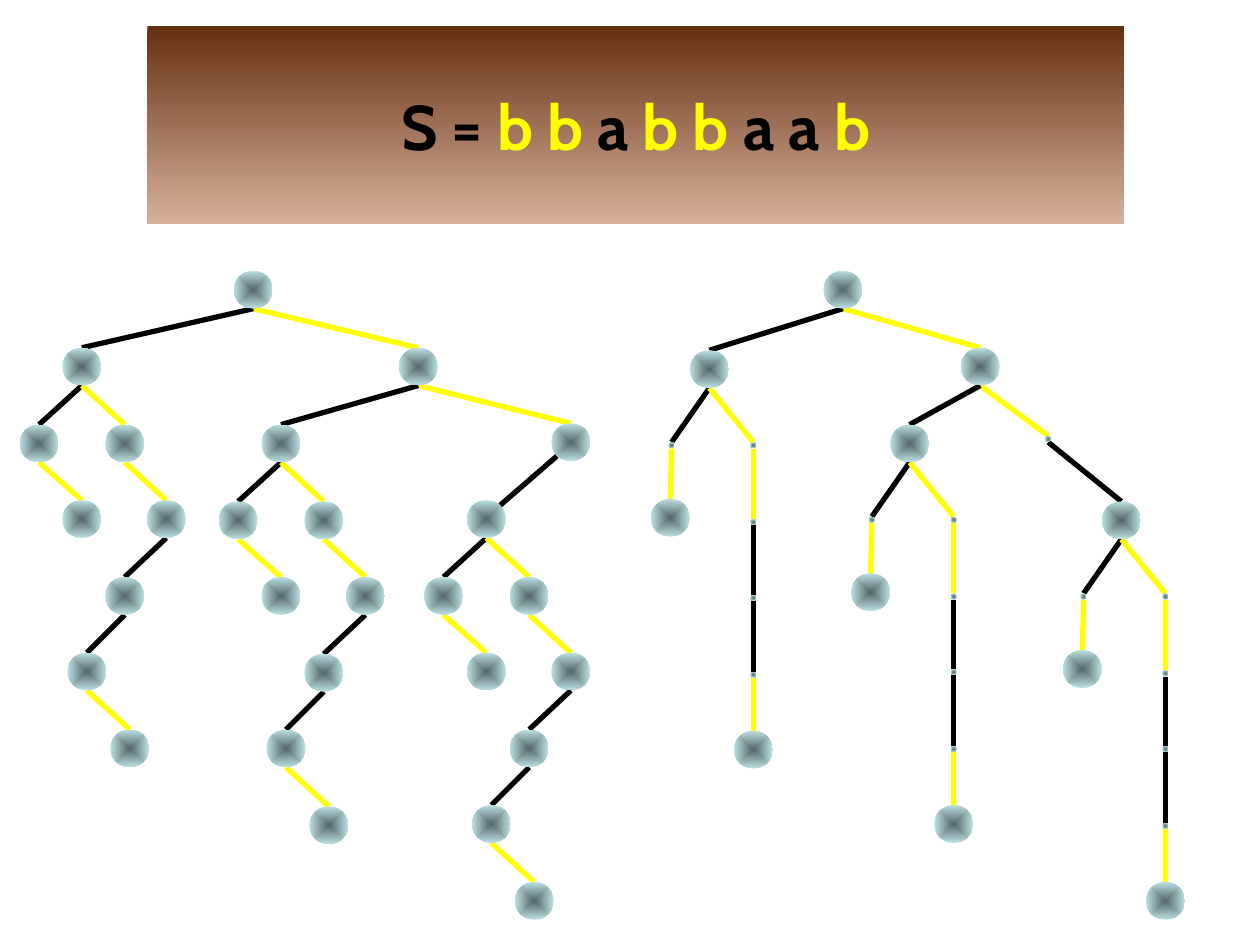
from lxml import etree
from pptx import Presentation
from pptx import util as u
from pptx.dml.color import RGBColor
from pptx.enum import shapes, text
from pptx.oxml import parse_xml
from pptx.oxml.ns import nsdecls, qn

Inches = u.Inches
COLORS = {
    "a": "000000", "b": "FFFF00",
    "title_top": "663012", "title_bottom": "D6B19C",
    "node_core": "566768", "node_rim": "BBE0E3",
}
NODE = 0.3
DOT = 0.05
DIAGONAL = 0.11  # offset of a node's diagonal edge point from its centre


def set_gradient(shape, first, last):
    shape.fill.gradient()
    for stop, name in zip(shape.fill.gradient_stops, (first, last)):
        stop.color.rgb = RGBColor.from_string(COLORS[name])


def add_edge(group, start, end, letter):
    points = [Inches(value) for value in (*start, *end)]
    edge = group.shapes.add_connector(shapes.MSO_CONNECTOR.STRAIGHT, *points)
    edge.line.color.rgb = RGBColor.from_string(COLORS[letter])
    edge.line.width = u.Pt(3)
    etree.SubElement(edge._element.spPr, qn("a:effectLst"))


deck = Presentation()
deck.slide_width, deck.slide_height = Inches(10), Inches(7.5)
page = deck.slides.add_slide(deck.slide_layouts[5])

# Title with the string, each letter in the colour of its edges
title = page.shapes.title
title.left, title.top = Inches(1.17), Inches(0.21)
title.width, title.height = Inches(7.75), Inches(1.57)
set_gradient(title, "title_top", "title_bottom")
title.fill.gradient_angle = 270
title.text_frame.vertical_anchor = text.MSO_ANCHOR.MIDDLE
para = title.text_frame.paragraphs[0]
para.alignment = text.PP_ALIGN.CENTER
title_font = {"name": "Cabin", "size": u.Pt(36), "bold": True}
for words, letter in [("S = ", "a"), ("b b ", "b"), ("a ", "a"),
                      ("b b ", "b"), ("a a ", "a"), ("b", "b")]:
    span = para.add_run()
    span.text = words
    for key, value in title_font.items():
        setattr(span.font, key, value)
    span.font.color.rgb = RGBColor.from_string(COLORS[letter])

# Nodes are keyed by the letters on their way from the root;
# each holds its centre x, top y and size
trees = [
    {   # full tree
        "stem": {"": (2.01, 2.15, NODE), "b": (3.32, 2.76, NODE),
                 "bb": (4.53, 3.36, NODE)},
        "branches": {"a": (0.65, 2.76), "ba": (2.23, 3.37),
                     "bba": (3.86, 3.97)},
        "offsets": {"": (0, 0, NODE), "a": (-0.34, 0.61, NODE),
                    "ab": (0, 1.21, NODE), "b": (0.34, 0.61, NODE),
                    "bb": (0.67, 1.21, NODE), "bba": (0.34, 1.82, NODE),
                    "bbaa": (0.04, 2.42, NODE),
                    "bbaab": (0.38, 3.03, NODE)},
    },
    {   # tree with single-child nodes shrunk to dots
        "stem": {"": (6.69, 2.15, NODE), "b": (7.78, 2.76, NODE),
                 "bb": (8.32, 3.46, DOT)},
        "branches": {"a": (5.63, 2.78), "ba": (7.22, 3.37),
                     "bba": (8.9, 3.98)},
        "offsets": {"": (0, 0, NODE), "a": (-0.3, 0.73, DOT),
                    "ab": (-0.31, 1.18, NODE), "b": (0.35, 0.73, DOT),
                    "bb": (0.35, 1.34, DOT), "bba": (0.35, 1.94, DOT),
                    "bbaa": (0.35, 2.55, DOT),
                    "bbaab": (0.35, 3.02, NODE)},
    },
]

for tree in trees:
    group = page.shapes.add_group_shape()
    nodes = dict(tree["stem"])
    for prefix, (left, top) in tree["branches"].items():
        for suffix, (dx, dy, size) in tree["offsets"].items():
            nodes[prefix + suffix] = (left + dx, top + dy, size)

    # Edges run from the bottom of a parent to the top of its child
    for name, (x, y, size) in nodes.items():
        if not name:
            continue
        parent_x, parent_y, parent_size = nodes[name[:-1]]
        start, end = (parent_x, parent_y + parent_size), (x, y)
        if name == "bba" and parent_size == NODE:
            start = (parent_x - DIAGONAL, parent_y + NODE / 2 + DIAGONAL)
            end = (x + DIAGONAL, y + NODE / 2 - DIAGONAL)
        add_edge(group, start, end, name[-1])

    # Nodes shaded from the centre outwards
    for x, y, size in nodes.values():
        width = 0.31 if size == NODE else size
        node = group.shapes.add_shape(
            shapes.MSO_SHAPE.OVAL, Inches(x - width / 2), Inches(y),
            Inches(width), Inches(size))
        node.shadow.inherit = False
        node.line.fill.background()
        set_gradient(node, "node_core", "node_rim")
        linear = node._element.spPr.find(".//" + qn("a:lin"))
        linear.getparent().replace(linear, parse_xml(
            f'<a:path {nsdecls("a")} path="rect"><a:fillToRect l="50000" '
            't="50000" r="50000" b="50000"/></a:path>'))

deck.save("out.pptx")
